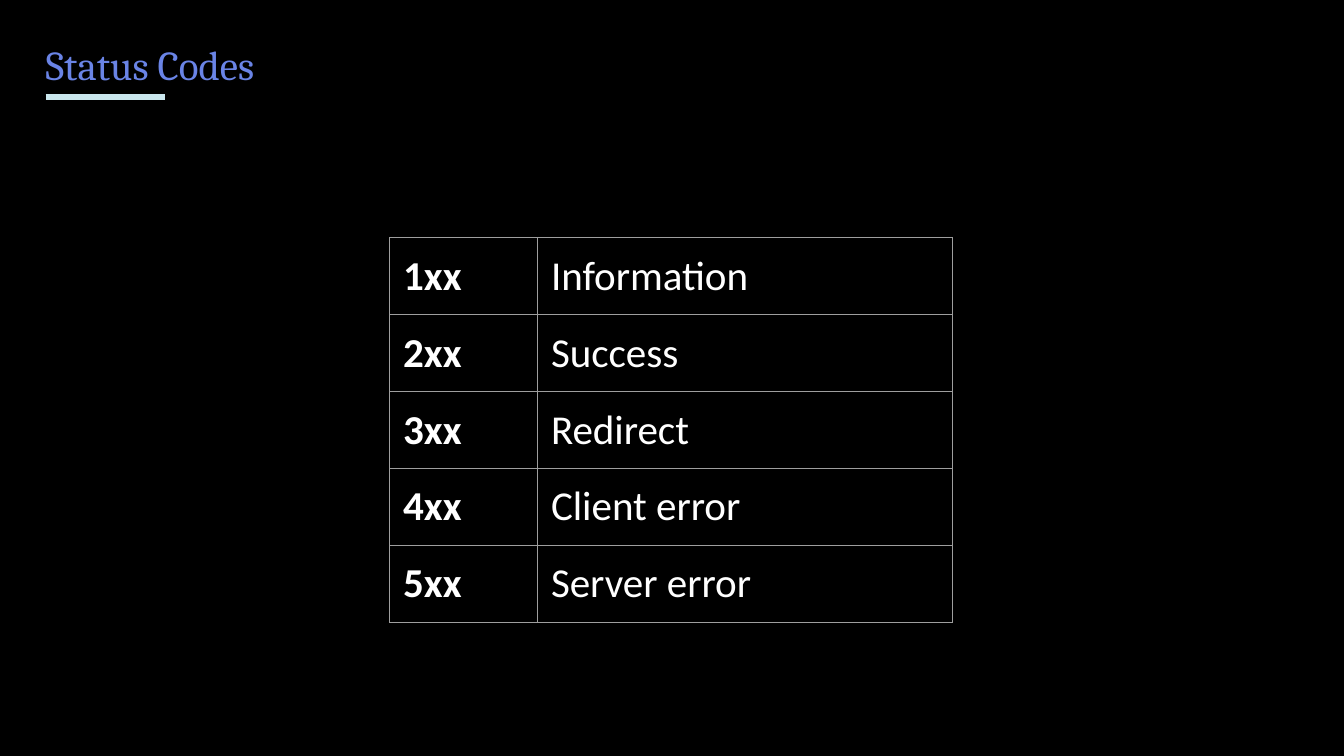
from lxml.etree import SubElement
from pptx import Presentation
from pptx.dml.color import RGBColor
from pptx.enum.shapes import MSO_CONNECTOR
from pptx.enum.text import MSO_ANCHOR, MSO_AUTO_SIZE, PP_ALIGN
from pptx.oxml.ns import qn
from pptx.util import Inches, Pt

COLORS = {
    "background": "000000",
    "title": "6A84E6",
    "accent": "CAE7ED",
    "text": "FFFFFF",
    "border": "9E9E9E",
}
STATUS_CODES = [
    ("1xx", "Information"),
    ("2xx", "Success"),
    ("3xx", "Redirect"),
    ("4xx", "Client error"),
    ("5xx", "Server error"),
]
SLIDE_WIDTH = 10
COLUMN_WIDTHS = (1.1, 3.09)
ROW_HEIGHT = 0.57
INSET = Inches(0.1)


def rgb(name):
    return RGBColor.from_string(COLORS[name])


def add_run(p, text, font, color, bold=False):
    r = p.add_run()
    r.text = text
    r.font.name = font
    r.font.size = Pt(22)
    r.font.bold = bold
    r.font.color.rgb = rgb(color)


def set_title(s, text):
    sp = s.shapes.title
    sp.left, sp.top = Inches(0.24), Inches(0.14)
    sp.width, sp.height = Inches(2.28), Inches(0.52)
    tf = sp.text_frame
    tf.margin_left = tf.margin_right = tf.margin_top = tf.margin_bottom = INSET
    tf.vertical_anchor = MSO_ANCHOR.TOP
    tf.auto_size = MSO_AUTO_SIZE.NONE
    tf.word_wrap = True
    p = tf.paragraphs[0]
    p.alignment = PP_ALIGN.LEFT
    p.line_spacing = 1.15
    p.space_before = Pt(0)
    p.space_after = Pt(16)
    add_run(p, text, "Cambria", "title")


def add_underline(s):
    line = s.shapes.add_connector(
        MSO_CONNECTOR.STRAIGHT, Inches(0.34), Inches(0.72), Inches(1.23), Inches(0.72)
    )
    line.line.color.rgb = rgb("accent")
    line.line.width = Pt(3)
    SubElement(line._element.spPr, qn("a:effectLst"))


def set_borders(cell):
    tc_pr = cell._tc.get_or_add_tcPr()
    for i, side in enumerate(("a:lnL", "a:lnR", "a:lnT", "a:lnB")):
        ln = tc_pr.makeelement(qn(side), {"w": str(Pt(0.75))})
        fill = SubElement(ln, qn("a:solidFill"))
        SubElement(fill, qn("a:srgbClr"), val=COLORS["border"])
        tc_pr.insert(i, ln)


def fill_cell(cell, text, bold):
    cell.fill.background()
    cell.margin_left = cell.margin_right = INSET
    cell.margin_top = cell.margin_bottom = INSET
    add_run(cell.text_frame.paragraphs[0], text, "Calibri", "text", bold)
    set_borders(cell)


def add_status_table(s):
    table = s.shapes.add_table(
        len(STATUS_CODES),
        len(COLUMN_WIDTHS),
        Inches(2.9),
        Inches(1.77),
        Inches(sum(COLUMN_WIDTHS)),
        Inches(ROW_HEIGHT * len(STATUS_CODES)),
    ).table
    table.first_row = table.horz_banding = False
    for column, width in zip(table.columns, COLUMN_WIDTHS):
        column.width = Inches(width)
    for row, texts in zip(table.rows, STATUS_CODES):
        row.height = Inches(ROW_HEIGHT)
        for i, (cell, text) in enumerate(zip(row.cells, texts)):
            fill_cell(cell, text, bold=i == 0)


def main():
    prs = Presentation()
    prs.slide_width = Inches(SLIDE_WIDTH)
    prs.slide_height = Inches(SLIDE_WIDTH * 9 / 16)
    s = prs.slides.add_slide(prs.slide_layouts[5])
    s.background.fill.solid()
    s.background.fill.fore_color.rgb = rgb("background")
    set_title(s, "Status Codes")
    add_underline(s)
    add_status_table(s)
    prs.save("out.pptx")


if __name__ == "__main__":
    main()
